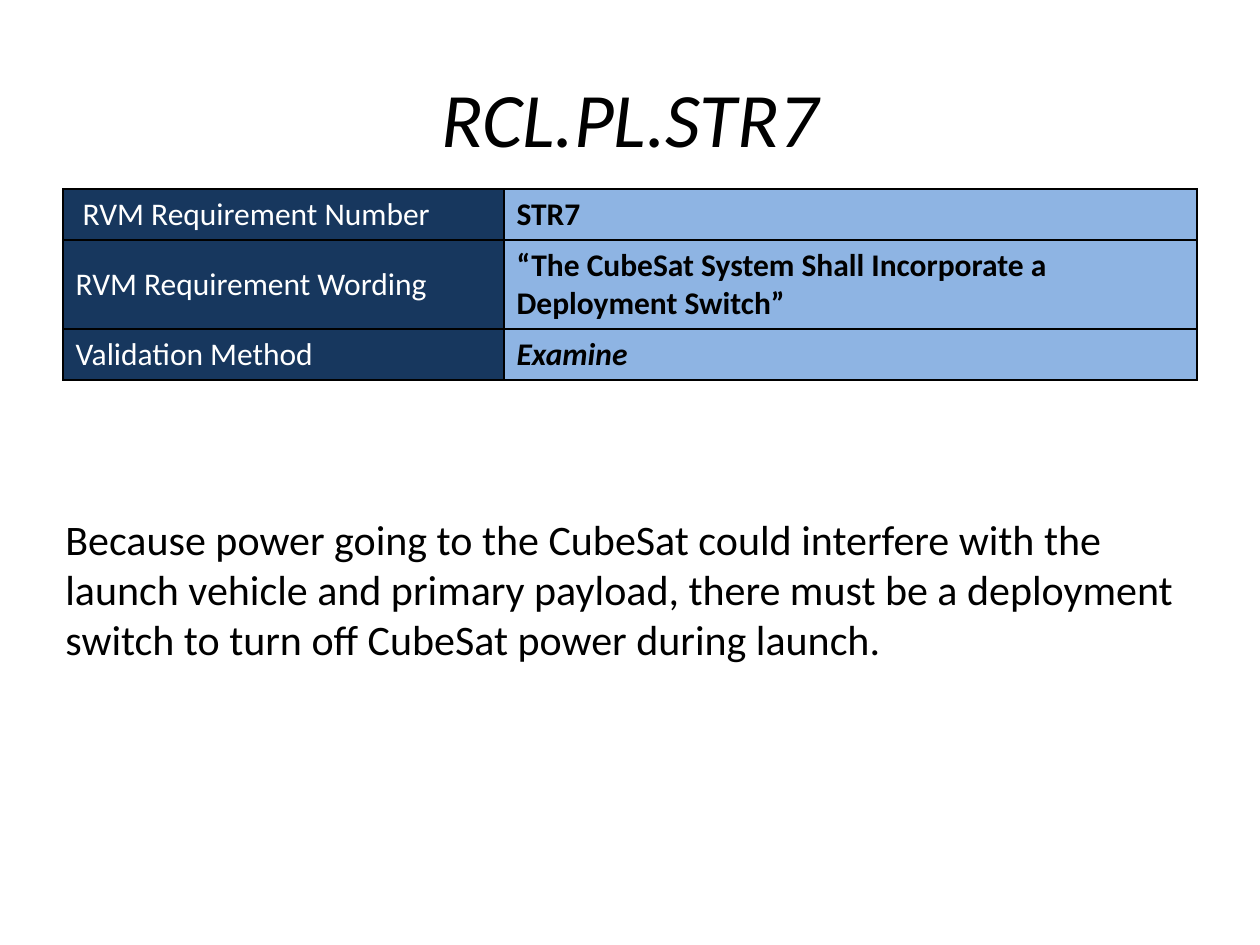
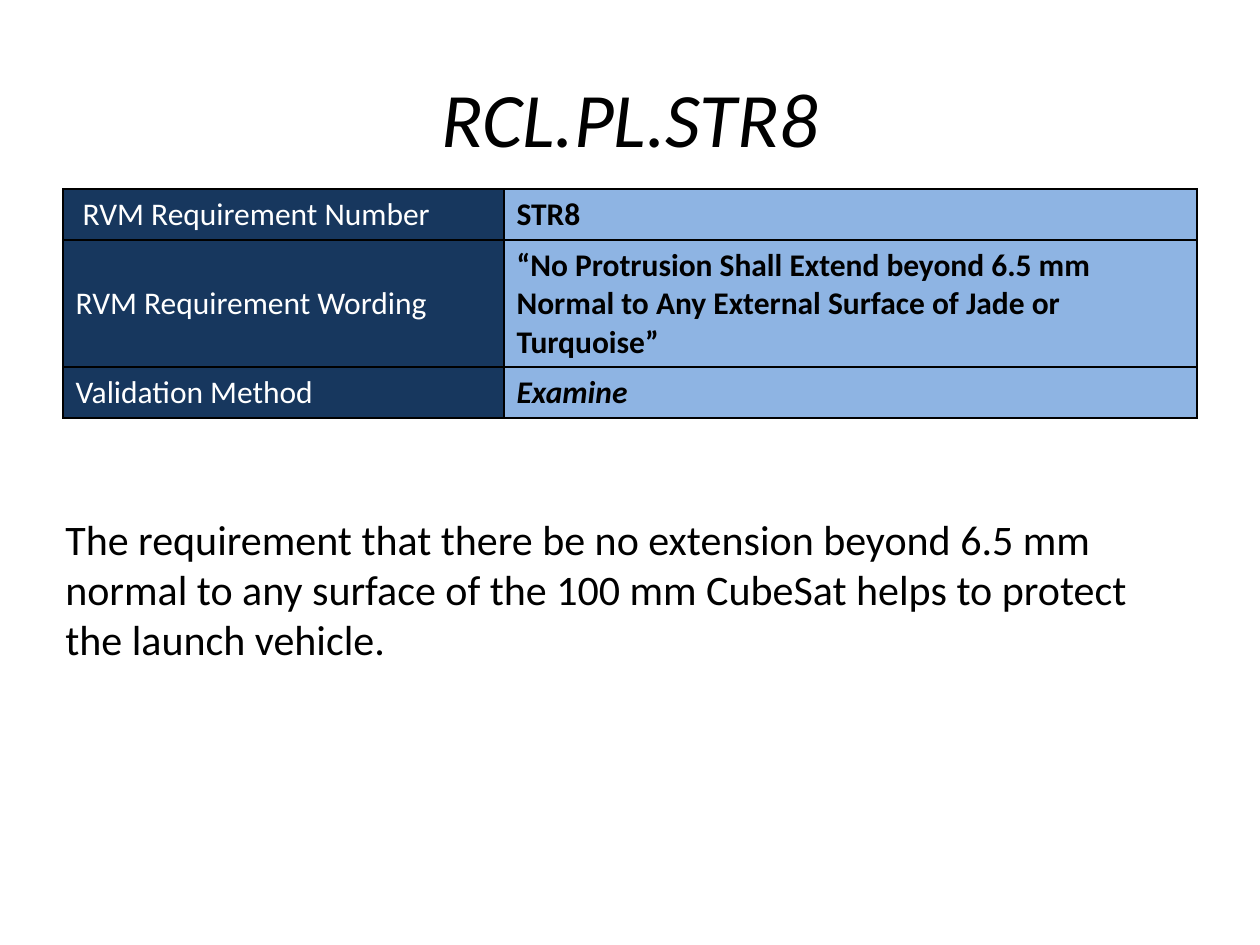
"""Build the requirement validation slides for the CubeSat structure."""
from dataclasses import dataclass
from typing import Any

from lxml.etree import SubElement
from pptx import Presentation
from pptx.dml.color import RGBColor
from pptx.enum.text import MSO_ANCHOR, PP_ALIGN
from pptx.oxml.ns import qn
from pptx.util import Emu, Pt

PX_PER_INCH = 126
COLOURS = {"page": "FFFFFF", "ink": "000000", "label": "17375E", "value": "8EB4E3"}
FONT = "Calibri"
ROW_HEIGHT = 51
LINE_HEIGHT = 38
COLUMN_WIDTHS = (441, 693)
LABELS = (" RVM Requirement Number", "RVM Requirement Wording", "Validation Method")


@dataclass(frozen=True)
class Area:
    """A rectangle on the page, in px."""
    left: int
    top: int
    width: int
    height: int

    def emu(self) -> tuple[Emu, ...]:
        """Return the rectangle in EMU."""
        return tuple(px(side) for side in (self.left, self.top, self.width, self.height))


@dataclass(frozen=True)
class TextStyle:
    """The look of a piece of text."""
    size: int
    colour: str = "ink"
    bold: bool = False
    italic: bool = False
    align: PP_ALIGN = PP_ALIGN.LEFT


@dataclass(frozen=True)
class Requirement:
    """One requirement, shown on one page."""
    number: str
    wording: str
    wording_lines: int
    method: str
    reason: str


TITLE_AREA = Area(63, 38, 1134, 158)
TABLE_AREA = Area(63, 189, sum(COLUMN_WIDTHS), 3 * ROW_HEIGHT)
REASON_AREA = Area(53, 507, 1144, 165)

TITLE = TextStyle(44, italic=True, align=PP_ALIGN.CENTER)
LABEL = TextStyle(18, "page")
VALUE = TextStyle(18, bold=True)
METHOD = TextStyle(18, bold=True, italic=True)
REASON = TextStyle(24)

REQUIREMENTS = (
    Requirement(
        "STR7",
        "“The CubeSat System Shall Incorporate a Deployment Switch”",
        2,
        "Examine",
        "Because power going to the CubeSat could interfere with the launch vehicle and "
        "primary payload, there must be a deployment switch to turn off CubeSat power "
        "during launch.",
    ),
    Requirement(
        "STR8",
        "“No Protrusion Shall Extend beyond 6.5 mm Normal to Any External Surface of "
        "Jade or Turquoise”",
        3,
        "Examine",
        "The requirement that there be no extension beyond 6.5 mm normal to any surface "
        "of the 100 mm CubeSat helps to protect the launch vehicle.",
    ),
)


def px(length: int) -> Emu:
    """Turn px into EMU."""
    return Emu(round(length * 914400 / PX_PER_INCH))


def colour(name: str) -> RGBColor:
    """Return a named colour."""
    return RGBColor.from_string(COLOURS[name])


def set_format(target: Any, values: dict[str, Any]) -> None:
    """Set each value as an attribute of the target."""
    for name, value in values.items():
        setattr(target, name, value)


def write(frame: Any, text: str, style: TextStyle) -> None:
    """Write one styled paragraph into a text frame."""
    para = frame.paragraphs[0]
    para.alignment = style.align
    span = para.add_run()
    span.text = text
    set_format(span.font, {"name": FONT, "size": Pt(style.size),
                           "bold": style.bold, "italic": style.italic})
    span.font.color.rgb = colour(style.colour)


def add_text(page: Any, area: Area, text: str, style: TextStyle, anchor: MSO_ANCHOR) -> None:
    """Add a wrapping text box."""
    box = page.shapes.add_textbox(*area.emu())
    set_format(box.text_frame, {"word_wrap": True, "vertical_anchor": anchor})
    write(box.text_frame, text, style)


def fill_cell(cell: Any, text: str, style: TextStyle, fill: str, anchor: MSO_ANCHOR) -> None:
    """Write, border and fill a table cell."""
    write(cell.text_frame, text, style)
    cell.vertical_anchor = anchor
    properties = cell._tc.get_or_add_tcPr()
    for side in ("a:lnL", "a:lnR", "a:lnT", "a:lnB"):
        line = SubElement(properties, qn(side), w=str(Pt(1)))
        SubElement(SubElement(line, qn("a:solidFill")), qn("a:srgbClr"), val=COLOURS["ink"])
    cell.fill.solid()
    cell.fill.fore_color.rgb = colour(fill)


def add_requirement_table(page: Any, requirement: Requirement) -> None:
    """Add the table of number, wording and method."""
    frame = page.shapes.add_table(len(LABELS), len(COLUMN_WIDTHS), *TABLE_AREA.emu())
    table = frame.table
    set_format(table, {"first_row": False, "horz_banding": False})
    for column, width in zip(table.columns, COLUMN_WIDTHS):
        column.width = px(width)
    values = ((requirement.number, VALUE, 1),
              (requirement.wording, VALUE, requirement.wording_lines),
              (requirement.method, METHOD, 1))
    for index, (label, (text, style, lines)) in enumerate(zip(LABELS, values)):
        table.rows[index].height = px(ROW_HEIGHT + (lines - 1) * LINE_HEIGHT)
        fill_cell(table.cell(index, 0), label, LABEL, "label", MSO_ANCHOR.MIDDLE)
        fill_cell(table.cell(index, 1), text, style, "value", MSO_ANCHOR.TOP)


def add_requirement_page(deck: Any, requirement: Requirement) -> None:
    """Add the page of one requirement."""
    page = deck.slides.add_slide(deck.slide_layouts[6])
    add_text(page, TITLE_AREA, f"RCL.PL.{requirement.number}", TITLE, MSO_ANCHOR.MIDDLE)
    add_requirement_table(page, requirement)
    add_text(page, REASON_AREA, requirement.reason, REASON, MSO_ANCHOR.TOP)


def main() -> None:
    """Build and save the deck."""
    deck = Presentation()
    set_format(deck, {"slide_width": px(1260), "slide_height": px(945)})
    for requirement in REQUIREMENTS:
        add_requirement_page(deck, requirement)
    deck.save("out.pptx")


if __name__ == "__main__":
    main()
